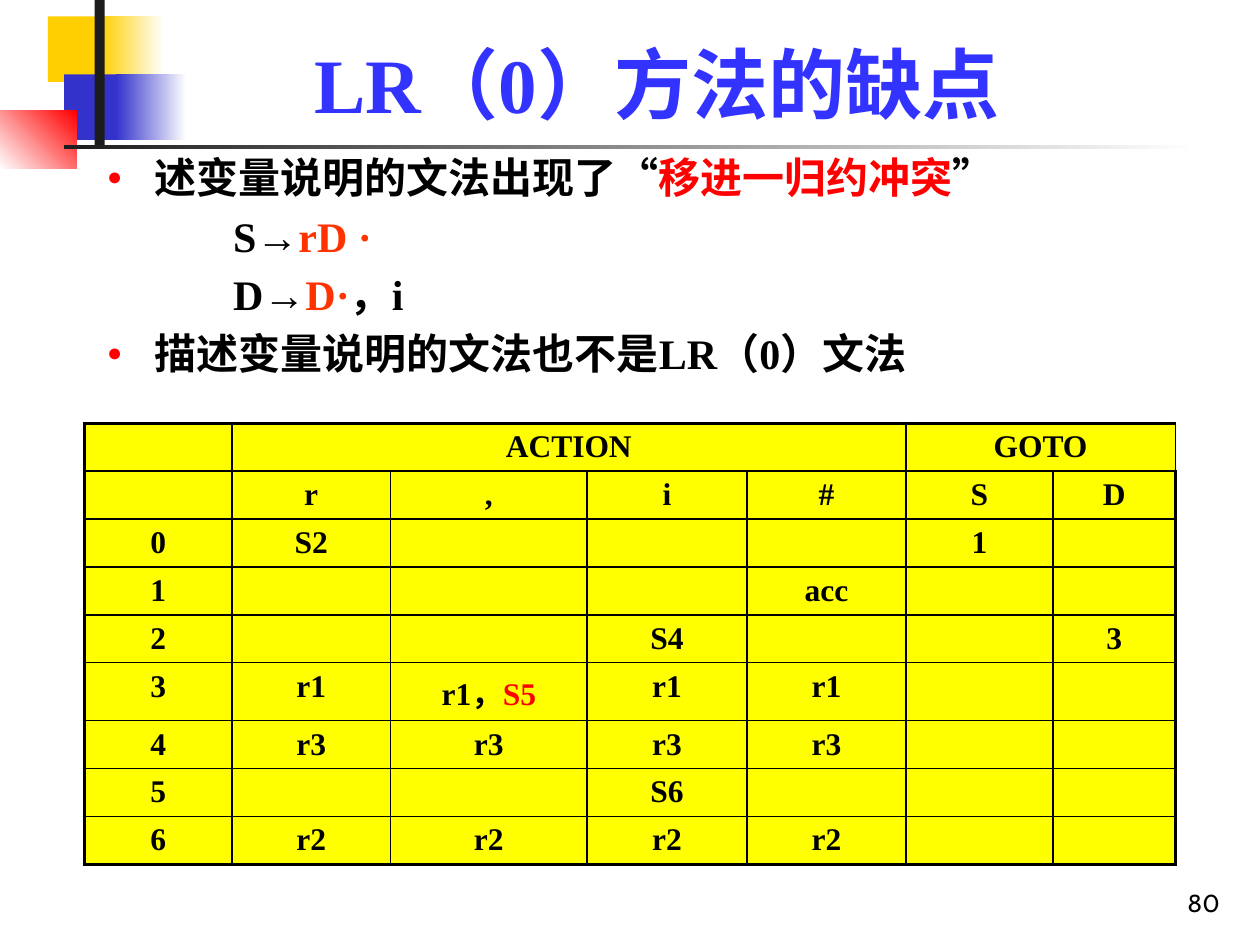
import dataclasses

import lxml.etree
import pptx
import pptx.dml.color
import pptx.enum.shapes
import pptx.enum.text
import pptx.oxml.ns
import pptx.util

Inches = pptx.util.Inches
Align = pptx.enum.text.PP_ALIGN
Anchor = pptx.enum.text.MSO_ANCHOR


@dataclasses.dataclass(frozen=True)
class Theme:
    serif: str = "Times New Roman"
    sans: str = "Cabin"
    black: str = "000000"
    white: str = "FFFFFF"
    red: str = "FF0000"
    orange: str = "FF3300"
    title_blue: str = "3333FF"
    block_blue: str = "3333CC"
    block_gold: str = "FFCF01"
    bar: str = "1C1C1C"
    cell: str = "FFFF00"
    title_size: float = 44
    body_size: float = 24
    table_size: float = 18
    empty_size: float = 12
    number_size: float = 14
    inner_line: float = 1
    outer_line: float = 2.25


THEME = Theme()

# Left, top, width, height, colours (two make a gradient), gradient angle
DECORATIONS = [
    (0.38, 0.13, 0.67, 0.52, [THEME.block_gold], 0),
    (0.8, 0.13, 0.5, 0.52, [THEME.block_gold, THEME.white], 0),
    (0.51, 0.59, 0.64, 0.52, [THEME.block_blue], 0),
    (0.92, 0.59, 0.56, 0.52, [THEME.block_blue, THEME.white], 0),
    (0, 0.88, 0.61, 0.46, [THEME.white, THEME.red], 45),
    (0.75, 0, 0.08, 1.15, [THEME.bar], 0),
    (0.51, 1.15, 9, 0.03, [THEME.bar, THEME.white], 0),
]

# Level and coloured text pieces of each body paragraph
BODY = [
    (0, [("述变量说明的文法出现了“", THEME.black), ("移进一归约冲突", THEME.red), ("”", THEME.black)]),
    (1, [("S→", THEME.black), ("rD ·", THEME.orange)]),
    (1, [("D→", THEME.black), ("D·", THEME.orange), ("，i", THEME.black)]),
    (0, [("描述变量说明的文法也不是LR（0）文法", THEME.black)]),
]

CONFLICT = [("r1，", THEME.black), ("S5", THEME.red)]
PARSING_TABLE = [
    ["", "ACTION", "", "", "", "GOTO", ""],
    ["", "r", ",", "i", "#", "S", "D"],
    ["0", "S2", "", "", "", "1", ""],
    ["1", "", "", "", "acc", "", ""],
    ["2", "", "", "S4", "", "", "3"],
    ["3", "r1", CONFLICT, "r1", "r1", "", ""],
    ["4", "r3", "r3", "r3", "r3", "", ""],
    ["5", "", "", "S6", "", "", ""],
    ["6", "r2", "r2", "r2", "r2", "", ""],
]
HEADER_SPANS = [(1, 4), (5, 6)]
COLUMN_WIDTHS = [1.17, 1.26, 1.56, 1.27, 1.26, 1.17, 0.97]
ROW_HEIGHT = 0.38
CONFLICT_ROW, CONFLICT_HEIGHT = 5, 0.46


def rgb(colour):
    return pptx.dml.color.RGBColor.from_string(colour)


def apply_format(target, values):
    for name, value in values.items():
        setattr(target, name, value)


def add_element(parent, tag, **attributes):
    return lxml.etree.SubElement(parent, pptx.oxml.ns.qn(tag), attributes)


def add_runs(paragraph, pieces, size, font=THEME.serif, bold=True):
    for text, colour in pieces:
        run = paragraph.add_run()
        run.text = text
        apply_format(run.font, {"name": font, "size": pptx.util.Pt(size), "bold": bold})
        run.font.color.rgb = rgb(colour)


def place(shape, left, top, width, height):
    apply_format(shape, {"left": Inches(left), "top": Inches(top),
                         "width": Inches(width), "height": Inches(height)})


def format_frame(frame, anchor):
    apply_format(frame, {"word_wrap": True, "vertical_anchor": anchor,
                         "auto_size": pptx.enum.text.MSO_AUTO_SIZE.NONE})


def add_decoration(slide, left, top, width, height, colours, angle):
    shape = slide.shapes.add_shape(
        pptx.enum.shapes.MSO_SHAPE.RECTANGLE,
        Inches(left), Inches(top), Inches(width), Inches(height))
    shape.shadow.inherit = False
    shape.line.fill.background()
    if len(colours) == 1:
        shape.fill.solid()
        shape.fill.fore_color.rgb = rgb(colours[0])
        return
    shape.fill.gradient()
    shape.fill.gradient_angle = angle
    for stop, colour in zip(shape.fill.gradient_stops, colours):
        stop.color.rgb = rgb(colour)


def fill_title(title):
    place(title, 1.26, 0.23, 7.91, 0.84)
    format_frame(title.text_frame, Anchor.BOTTOM)
    paragraph = title.text_frame.paragraphs[0]
    paragraph.alignment = Align.CENTER
    add_runs(paragraph, [("LR（0）方法的缺点", THEME.title_blue)], THEME.title_size)


def set_bullet(paragraph, level):
    margin, indent = [(0.38, -0.38), (1.25, -0.25)][level]
    properties = paragraph._p.get_or_add_pPr()
    properties.set("marL", str(Inches(margin)))
    properties.set("indent", str(Inches(indent)))
    if level:
        add_element(properties, "a:buNone")
        return
    add_element(add_element(properties, "a:buClr"), "a:srgbClr", val=THEME.red)
    add_element(properties, "a:buSzPct", val="60000")
    add_element(properties, "a:buChar", char="●")


def fill_body(body):
    place(body, 0.75, 1.15, 8.58, 2.28)
    frame = body.text_frame
    format_frame(frame, Anchor.TOP)
    for index, (level, pieces) in enumerate(BODY):
        paragraph = frame.add_paragraph() if index else frame.paragraphs[0]
        space = THEME.body_size * 0.2 if index else 0
        apply_format(paragraph, {"level": level, "space_before": pptx.util.Pt(space)})
        set_bullet(paragraph, level)
        add_runs(paragraph, pieces, THEME.body_size)


def set_borders(cell, outer_sides):
    properties = cell._tc.get_or_add_tcPr()
    for side in "LRTB":
        width = THEME.outer_line if side in outer_sides else THEME.inner_line
        line = add_element(properties, f"a:ln{side}", w=str(pptx.util.Pt(width)))
        add_element(add_element(line, "a:solidFill"), "a:srgbClr", val=THEME.black)


def format_cell(cell, content, outer_sides):
    set_borders(cell, outer_sides)
    cell.fill.solid()
    cell.fill.fore_color.rgb = rgb(THEME.cell)
    apply_format(cell, {"margin_top": Inches(0.05), "margin_bottom": Inches(0.04)})
    paragraph = cell.text_frame.paragraphs[0]
    paragraph.alignment = Align.CENTER
    if content:
        pieces = [(content, THEME.black)] if isinstance(content, str) else content
        add_runs(paragraph, pieces, THEME.table_size)
    else:
        # Keeps an empty cell from stretching its row
        add_element(paragraph._p, "a:endParaRPr", sz=str(THEME.empty_size * 100))


def add_parsing_table(slide):
    row_count, column_count = len(PARSING_TABLE), len(COLUMN_WIDTHS)
    heights = [ROW_HEIGHT] * row_count
    heights[CONFLICT_ROW] = CONFLICT_HEIGHT
    table = slide.shapes.add_table(
        row_count, column_count, Inches(0.67), Inches(3.36),
        Inches(sum(COLUMN_WIDTHS)), Inches(sum(heights))).table
    apply_format(table, {"first_row": False, "horz_banding": False})
    for column, width in zip(table.columns, COLUMN_WIDTHS):
        column.width = Inches(width)
    for row, height in zip(table.rows, heights):
        row.height = Inches(height)
    for first, last in HEADER_SPANS:
        table.cell(0, first).merge(table.cell(0, last))
    for row_index, contents in enumerate(PARSING_TABLE):
        for column_index, content in enumerate(contents):
            edges = {"T": row_index == 0, "B": row_index == row_count - 1,
                     "L": column_index == 0, "R": column_index == column_count - 1}
            outer_sides = [side for side, is_outer in edges.items() if is_outer]
            format_cell(table.cell(row_index, column_index), content, outer_sides)


def add_page_number(slide):
    box = slide.shapes.add_textbox(Inches(7.7), Inches(6.83), Inches(2.08), Inches(0.5))
    format_frame(box.text_frame, Anchor.BOTTOM)
    paragraph = box.text_frame.paragraphs[0]
    paragraph.alignment = Align.RIGHT
    add_runs(paragraph, [("80", THEME.black)], THEME.number_size, THEME.sans, False)


def main():
    presentation = pptx.Presentation()
    apply_format(presentation, {"slide_width": Inches(10), "slide_height": Inches(7.5)})
    slide = presentation.slides.add_slide(presentation.slide_layouts[1])

    # Corner blocks and rule
    for decoration in DECORATIONS:
        add_decoration(slide, *decoration)

    # Title, list, table and page number
    fill_title(slide.shapes.title)
    fill_body(slide.placeholders[1])
    add_parsing_table(slide)
    add_page_number(slide)
    presentation.save("out.pptx")


if __name__ == "__main__":
    main()
